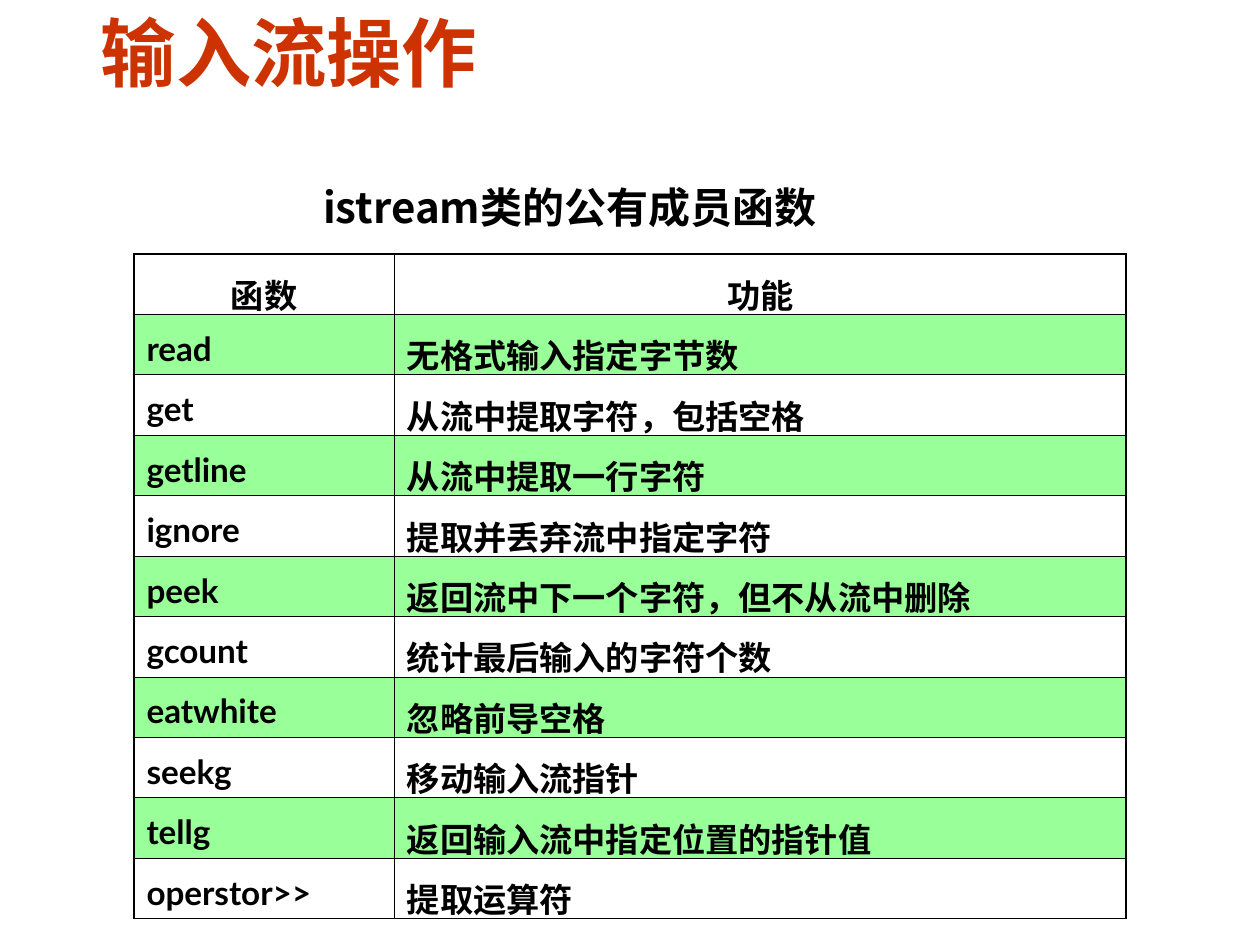
from lxml import etree
from pptx import Presentation
from pptx.dml.color import RGBColor
from pptx.enum.text import MSO_ANCHOR, MSO_AUTO_SIZE, PP_ALIGN
from pptx.oxml.ns import qn
from pptx.util import Cm, Pt

LEFT, CENTER, RIGHT = PP_ALIGN.LEFT, PP_ALIGN.CENTER, PP_ALIGN.RIGHT
TOP = MSO_ANCHOR.TOP
NO_FIT = MSO_AUTO_SIZE.NONE
TITLE_ONLY = 5

COLORS = {"title": "CC3300", "text": "000000", "band": "99FF99",
          "header": "FFFFFF", "border": "000000"}
CJK_FONT, LATIN_FONT = "Noto Sans CJK SC", "Lato"
THIN, THICK = Pt(0.45), Pt(1.08)

FUNCTIONS = [
    ("函数", "功能"),
    ("read", "无格式输入指定字节数"),
    ("get", "从流中提取字符，包括空格"),
    ("getline", "从流中提取一行字符"),
    ("ignore", "提取并丢弃流中指定字符"),
    ("peek", "返回流中下一个字符，但不从流中删除"),
    ("gcount", "统计最后输入的字符个数"),
    ("eatwhite", "忽略前导空格"),
    ("seekg", "移动输入流指针"),
    ("tellg", "返回输入流中指定位置的指针值"),
    ("operstor>>", "提取运算符"),
]


def set_attributes(target, values):
    """Set every attribute named in values on target."""
    for name, value in values.items():
        setattr(target, name, value)


def write_text(frame, text, color, font, paragraph):
    """Write one formatted paragraph into a text frame."""
    line = frame.paragraphs[0]
    set_attributes(line, paragraph)
    run = line.add_run()
    run.text = text
    set_attributes(run.font, {"bold": True, **font})
    run.font.color.rgb = RGBColor.from_string(COLORS[color])
    east_asian = etree.SubElement(run.font._element, qn("a:ea"))
    east_asian.set("typeface", CJK_FONT)


def add_border(cell, side, width):
    """Draw one solid border on a cell."""
    properties = cell._tc.get_or_add_tcPr()
    border = etree.SubElement(properties, qn(f"a:ln{side}"), w=str(int(width)))
    fill = etree.SubElement(border, qn("a:solidFill"))
    etree.SubElement(fill, qn("a:srgbClr"), val=COLORS["border"])


def place_title(slide, left, top, width, height):
    """Place the slide title in the given box."""
    title = slide.shapes.title
    set_attributes(title, {"left": left, "top": top, "width": width, "height": height})
    set_attributes(title.text_frame, {"vertical_anchor": TOP, "auto_size": NO_FIT})
    write_text(title.text_frame, "输入流操作", "title",
               {"size": Pt(43), "name": CJK_FONT}, {"alignment": LEFT})


def place_caption(slide, left, top, width, height):
    """Place the table caption in the given box."""
    caption = slide.shapes.add_textbox(left, top, width, height)
    caption.text_frame.word_wrap = True
    write_text(caption.text_frame, "istream类的公有成员函数 ", "text",
               {"size": Pt(24), "name": CJK_FONT}, {"alignment": RIGHT})


def place_function_table(slide, left, top, width, height):
    """Place the banded function table in the given box."""
    last_row = len(FUNCTIONS) - 1
    table = slide.shapes.add_table(len(FUNCTIONS), 2, left, top, width, height).table
    set_attributes(table, {"first_row": False, "horz_banding": False})
    name_width = Cm(5.25)
    for column, column_width in zip(table.columns, (name_width, width - name_width)):
        column.width = column_width
    for row, texts in enumerate(FUNCTIONS):
        for column, text in enumerate(texts):
            cell = table.cell(row, column)
            cell.margin_bottom = Cm(-0.08)
            outer = {"L": column == 0, "R": column == 1,
                     "T": row == 0, "B": row == last_row}
            for side, is_outer in outer.items():
                add_border(cell, side, THICK if is_outer else THIN)
            if row and row % 2 == 0:
                cell.fill.background()
            else:
                cell.fill.solid()
                fill_color = COLORS["band" if row else "header"]
                cell.fill.fore_color.rgb = RGBColor.from_string(fill_color)
            write_text(cell.text_frame, text, "text",
                       {"size": Pt(19), "name": LATIN_FONT},
                       {"alignment": LEFT if row else CENTER,
                        "line_spacing": 1.2, "space_before": Pt(11.9)})


def main():
    """Build the slide and save it."""
    presentation = Presentation()
    set_attributes(presentation, {"slide_width": Cm(25.4), "slide_height": Cm(19.05)})
    slide = presentation.slides.add_slide(presentation.slide_layouts[TITLE_ONLY])
    place_function_table(slide, Cm(2.7), Cm(5.12), Cm(20), Cm(13.4))
    place_caption(slide, Cm(5.5), Cm(3.53), Cm(11.4), Cm(1.27))
    place_title(slide, Cm(1.78), Cm(0), Cm(22.23), Cm(3.38))
    presentation.save("out.pptx")


if __name__ == "__main__":
    main()
